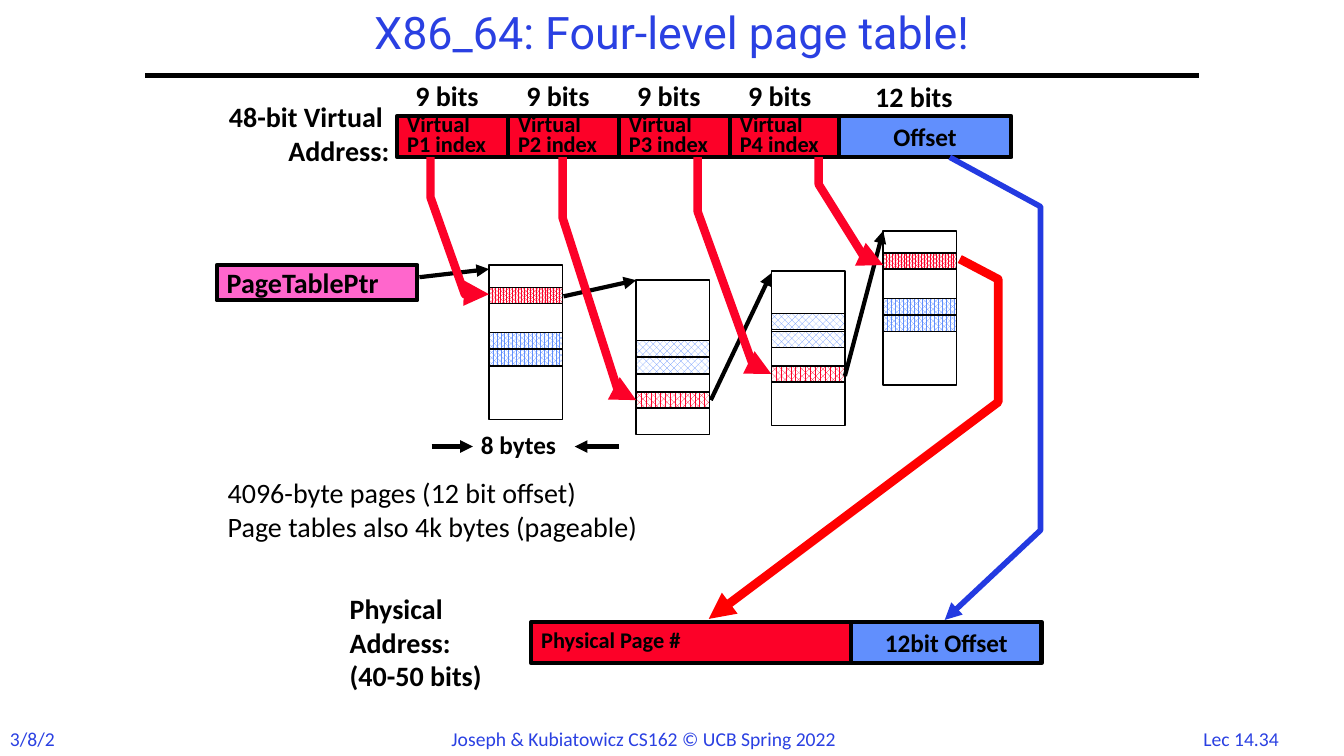
import pptx
import pptx.util
import pptx.dml.color
import pptx.enum.dml
import pptx.enum.shapes
import pptx.enum.text
import pptx.oxml
import pptx.oxml.ns

Inches = pptx.util.Inches
ALIGN = pptx.enum.text.PP_ALIGN
DOTS = pptx.enum.dml.MSO_PATTERN
BLACK, WHITE, RED, BLUE, INK = "000000", "FFFFFF", "FC0128", "618FFD", "2A40E2"
WIDE, TIGHT = (0.1, 0.05), (0.07, 0.03)


def paint(color, value):
    color.rgb = pptx.dml.color.RGBColor.from_string(value)


def write(shape, text, size, color=BLACK, bold=False, align=ALIGN.LEFT,
          space=None, inset=WIDE, font="Calibri"):
    frame = shape.text_frame
    frame.text = text
    frame.word_wrap = False
    frame.margin_left = frame.margin_right = Inches(inset[0])
    frame.margin_top = frame.margin_bottom = Inches(inset[1])
    for para in frame.paragraphs:
        para.alignment = align
        if space:
            para.line_spacing = space
        for run in para.runs:
            run.font.name = font
            run.font.size = pptx.util.Pt(size)
            run.font.bold = bold
            paint(run.font.color, color)


def label(slide, box, text, size, **style):
    write(slide.shapes.add_textbox(*map(Inches, box)), text, size, **style)


def block(slide, box, fill=None, width=3, dots=None):
    kind = pptx.enum.shapes.MSO_SHAPE.RECTANGLE
    shape = slide.shapes.add_shape(kind, *map(Inches, box))
    shape.shadow.inherit = False
    if dots:
        shape.fill.patterned()
        shape.fill.pattern = dots
        paint(shape.fill.fore_color, fill)
        paint(shape.fill.back_color, WHITE)
    elif fill:
        shape.fill.solid()
        paint(shape.fill.fore_color, fill)
    else:
        shape.fill.background()
    paint(shape.line.color, BLACK)
    shape.line.width = pptx.util.Pt(width)
    shape.text_frame.vertical_anchor = pptx.enum.text.MSO_ANCHOR.MIDDLE
    return shape


def tip(shape):
    end = pptx.oxml.parse_xml(
        '<a:tailEnd %s type="triangle"/>' % pptx.oxml.ns.nsdecls("a"))
    shape.line._get_or_add_ln().append(end)


def line(slide, start, end, arrow=True):
    kind = pptx.enum.shapes.MSO_CONNECTOR.STRAIGHT
    link = slide.shapes.add_connector(kind, *map(Inches, start + end))
    paint(link.line.color, BLACK)
    link.line.width = pptx.util.Pt(3)
    if arrow:
        tip(link)
    link._element.spPr.append(pptx.oxml.parse_xml(
        "<a:effectLst %s/>" % pptx.oxml.ns.nsdecls("a")))


def route(slide, points, color, width):
    points = [(Inches(x), Inches(y)) for x, y in points]
    pen = slide.shapes.build_freeform(*points[0])
    pen.add_line_segments(points[1:], close=False)
    shape = pen.convert_to_shape()
    shape.shadow.inherit = False
    shape.fill.background()
    paint(shape.line.color, color)
    shape.line.width = pptx.util.Pt(width)
    tip(shape)


# Title, rule and footer
def frame_page(slide):
    title = slide.shapes.title
    title.left, title.top, title.width, title.height = map(
        Inches, (3.53, 0.08, 6.27, 0.54))
    title.text_frame.vertical_anchor = pptx.enum.text.MSO_ANCHOR.MIDDLE
    write(title, "X86_64: Four-level page table!", 32, color=INK,
          align=ALIGN.CENTER, space=0.9, inset=TIGHT, font="Roboto")
    line(slide, (1.44, 0.75), (11.89, 0.75), arrow=False)
    label(slide, (0, 7.16, 0.7, 0.34), "3/8/22", 14, color=INK)
    label(slide, (4.38, 7.16, 4.13, 0.34),
          "Joseph & Kubiatowicz CS162 © UCB Spring 2022", 14, color=INK)
    label(slide, (11.77, 7.16, 1.08, 0.33), "Lec 14.34", 14, color=INK,
          align=ALIGN.CENTER)


# Virtual address: four index fields and the offset
def draw_virtual(slide, left, top):
    step, high = 1.1, 0.41
    label(slide, (left - 1.97, top - 0.21, 1.99, 0.77),
          "48-bit Virtual \nAddress:", 20, bold=True, align=ALIGN.RIGHT)
    for i in range(4):
        x = left + i * step
        field = block(slide, (x, top, step, high), RED)
        write(field, f"Virtual\nP{i + 1} index", 16, bold=True, space=0.75)
        label(slide, (x + 0.11, top - 0.36, 0.87, 0.36), "9 bits", 20,
              bold=True, space=0.9, inset=TIGHT)
    x = left + 4 * step
    write(block(slide, (x - 0.02, top, 1.71, high), BLUE), "Offset", 18,
          bold=True, align=ALIGN.CENTER)
    label(slide, (x + 0.27, top - 0.35, 1.03, 0.36), "12 bits", 20,
          bold=True, space=0.9, inset=TIGHT)


# Physical address: page number and offset
def draw_real(slide, left, top):
    label(slide, (left - 1.9, top - 0.35, 1.68, 1.11),
          "Physical\nAddress:\n(40-50 bits)", 20, bold=True)
    write(block(slide, (left + 3.17, top, 1.89, 0.41), BLUE), "12bit Offset",
          18, bold=True, align=ALIGN.CENTER)
    write(block(slide, (left, top, 3.17, 0.41), RED), "Physical Page #", 16,
          bold=True, space=0.75)


# One page table: an outline, the chosen red row and two blue rows
def draw_table(slide, left, top, red, blues, dense):
    wide, row = 0.73, 0.16
    block(slide, (left, top, wide, 1.53), width=1)
    red_dots, blue_dots = ((DOTS.PERCENT_80, DOTS.PERCENT_75) if dense
                           else (DOTS.PERCENT_70, DOTS.PERCENT_50))
    block(slide, (left, top + red, wide, row), RED, 1, red_dots)
    for blue in blues:
        block(slide, (left, top + blue, wide, row), BLUE, 1, blue_dots)


# Page table pointer, row width and page size notes
def draw_notes(slide):
    write(block(slide, (2.15, 2.63, 1.99, 0.35), "FF66CC"), "PageTablePtr",
          20, bold=True)
    label(slide, (4.7, 4.26, 1.01, 0.33), "8 bytes", 18, bold=True,
          space=0.9, inset=TIGHT)
    line(slide, (4.28, 4.43), (4.69, 4.43))
    line(slide, (6.14, 4.43), (5.7, 4.43))
    label(slide, (2.16, 4.67, 4.81, 0.77), "4096-byte pages (12 bit offset)\n"
          "Page tables also 4k bytes (pageable)", 20)


# Table walk: pointers in black, index and result paths in colour
def draw_walk(slide):
    links = [((4.16, 2.75), (4.85, 2.67)), ((5.59, 2.94), (6.31, 2.78)),
             ((7.05, 3.97), (7.65, 2.71)), ((8.38, 3.73), (8.76, 2.29))]
    for start, end in links:
        line(slide, start, end)
    # Start x, bend y, foot x, end x, end y
    paths = [(4.27, 1.96, 4.61, 4.85, 2.92), (5.58, 2.16, 6.16, 6.31, 3.97),
             (6.92, 2.1, 7.5, 7.65, 3.71), (8.12, 1.83, 8.62, 8.76, 2.63)]
    for x, bend, foot, end, y in paths:
        route(slide, [(x, 1.56), (x, bend), (foot, y), (end, y)], RED, 6)
    route(slide, [(9.42, 1.56), (10.32, 2.05), (10.32, 5.26), (9.37, 6.15)],
          "233AE1", 4)
    route(slide, [(9.52, 2.57), (9.9, 2.77), (9.9, 3.99), (7.03, 6.14)],
          "FF0000", 6.25)


def main():
    deck = pptx.Presentation()
    deck.slide_width, deck.slide_height = Inches(13.33), Inches(7.5)
    slide = deck.slides.add_slide(deck.slide_layouts[5])
    frame_page(slide)
    draw_real(slide, 5.27, 6.17)
    draw_virtual(slide, 3.94, 1.15)
    draw_table(slide, 4.85, 2.63, 0.22, (0.67, 0.84), True)
    draw_table(slide, 6.31, 2.78, 1.11, (0.6, 0.77), False)
    draw_table(slide, 7.65, 2.69, 0.94, (0.42, 0.6), False)
    draw_table(slide, 8.76, 2.29, 0.22, (0.67, 0.84), True)
    draw_notes(slide)
    draw_walk(slide)
    deck.save("out.pptx")


if __name__ == "__main__":
    main()
